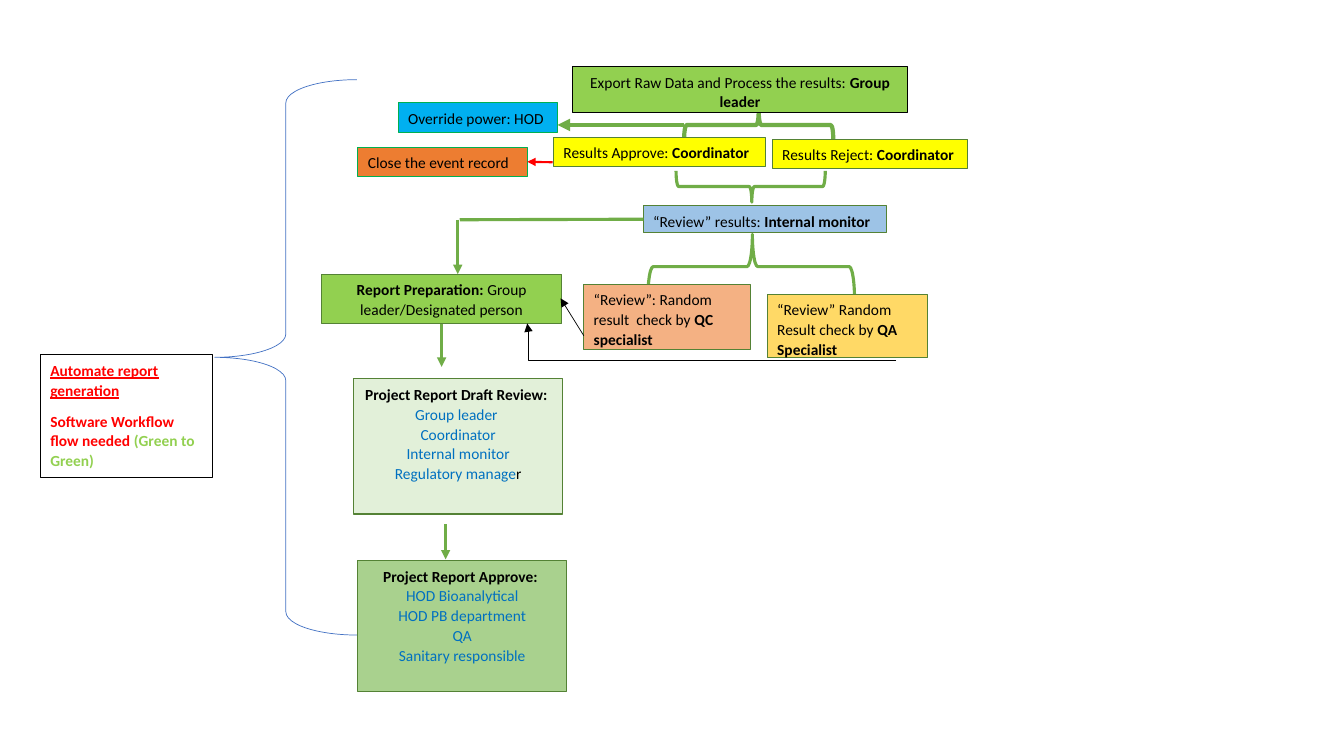
from lxml import etree
from pptx import Presentation
from pptx import util as u
from pptx.dml.color import RGBColor
from pptx.enum import shapes, text
from pptx.oxml import ns

BLACK = RGBColor(0x00, 0x00, 0x00)
WHITE = RGBColor(0xFF, 0xFF, 0xFF)
RED = RGBColor(0xFF, 0x00, 0x00)
YELLOW = RGBColor(0xFF, 0xFF, 0x00)
LIME = RGBColor(0x92, 0xD0, 0x50)
GREEN = RGBColor(0x70, 0xAD, 0x47)
DARK_GREEN = RGBColor(0x54, 0x82, 0x35)
TEAL_GREEN = RGBColor(0x00, 0xB0, 0x50)
MID_GREEN = RGBColor(0xA9, 0xD1, 0x8E)
PALE_GREEN = RGBColor(0xE2, 0xF0, 0xD9)
SKY = RGBColor(0x00, 0xB0, 0xF0)
PALE_BLUE = RGBColor(0x9D, 0xC3, 0xE6)
BLUE = RGBColor(0x44, 0x72, 0xC4)
TEXT_BLUE = RGBColor(0x00, 0x70, 0xC0)
ORANGE = RGBColor(0xED, 0x7D, 0x31)
PEACH = RGBColor(0xF4, 0xB1, 0x83)
GOLD = RGBColor(0xFF, 0xD9, 0x66)

LEFT, CENTER = text.PP_ALIGN.LEFT, text.PP_ALIGN.CENTER
TOP, LEFT_SIDE, BOTTOM, RIGHT_SIDE = range(4)


def grid(*cells):
    """Columns and rows of a grid with ten cells to the inch."""
    return [u.Inches(n / 10) for n in cells]


def run(words, bold=False, color=BLACK, underline=None):
    return words, bold, color, underline


def add_box(s, at, fill, paragraphs, line=DARK_GREEN, align=LEFT, after=8):
    sp = s.shapes.add_shape(shapes.MSO_SHAPE.RECTANGLE, *grid(*at))
    sp.shadow.inherit = False
    sp.fill.solid()
    sp.fill.fore_color.rgb = fill
    sp.line.color.rgb = line
    sp.line.width = u.Pt(0.75)
    tf = sp.text_frame
    tf.word_wrap = True
    tf.vertical_anchor = text.MSO_ANCHOR.TOP
    for i, runs in enumerate(paragraphs):
        p = tf.add_paragraph() if i else tf.paragraphs[0]
        p.alignment = align
        p.line_spacing = 1.07
        p.space_after = u.Pt(after)
        p.font.size = u.Pt(11)
        p.font.name = "Calibri"
        for words, bold, color, underline in runs:
            r = p.add_run()
            r.text = words
            r.font.size = u.Pt(11)
            r.font.name = "Calibri"
            r.font.bold = bold
            r.font.underline = underline
            r.font.color.rgb = color
    return sp


def add_stage(s, at, fill, heading, people):
    """Box with a bold heading over a centred list of people."""
    return add_box(s, at, fill, [[run(heading, True)], *people],
                   align=CENTER, after=0)


def add_brace(s, kind, at, color, width, curve=0.083, point=0.5, rotation=0):
    sp = s.shapes.add_shape(kind, *grid(*at))
    sp.shadow.inherit = False
    sp.fill.background()
    sp.line.color.rgb = color
    sp.line.width = u.Pt(width)
    sp.adjustments[0] = curve
    sp.adjustments[1] = point
    sp.rotation = rotation


def add_line(s, start, end, color, width, arrow=True, bend=None):
    kind = shapes.MSO_CONNECTOR.STRAIGHT if bend is None else shapes.MSO_CONNECTOR.ELBOW
    c = s.shapes.add_connector(kind, *grid(*start, *end))
    c.line.color.rgb = color
    c.line.width = u.Pt(width)
    props = c._element.spPr
    if arrow:
        etree.SubElement(c.line._get_or_add_ln(), ns.qn("a:tailEnd"), type="triangle")
    etree.SubElement(props, ns.qn("a:effectLst"))
    if bend is not None:
        guides = props.find(ns.qn("a:prstGeom")).find(ns.qn("a:avLst"))
        etree.SubElement(guides, ns.qn("a:gd"), name="adj1",
                         fmla=f"val {round(bend * 100000)}")
    return c


def main():
    prs = Presentation()
    prs.slide_width, prs.slide_height = u.Inches(13.33), u.Inches(7.5)
    s = prs.slides.add_slide(prs.slide_layouts[6])
    right_brace, left_brace = shapes.MSO_SHAPE.RIGHT_BRACE, shapes.MSO_SHAPE.LEFT_BRACE

    # Braces between the result steps
    add_brace(s, right_brace, (71.3, 16.2, 6.4, 20.5), GREEN, 2.25, point=0.506, rotation=270)
    add_brace(s, right_brace, (73.8, 5, 2.9, 14.8), GREEN, 3, rotation=270)
    add_brace(s, left_brace, (72.9, 11.1, 3.1, 14.8), GREEN, 2.25, point=0.508, rotation=270)

    # Results and their reviewers
    add_box(s, (56.8, 6.6, 33.2, 4.6), LIME,
            [[run("Export Raw Data and Process the results: "), run("Group leader", True)]],
            line=BLACK, align=CENTER)
    add_box(s, (54.9, 13.6, 21, 2.9), YELLOW,
            [[run("Results Approve: "), run("Coordinator", True)]])
    add_box(s, (76.6, 13.8, 19.4, 2.9), YELLOW,
            [[run("Results Reject: "), run("Coordinator", True)]])
    add_box(s, (39.5, 10.2, 15.8, 2.9), SKY, [[run("Override power: HOD")]], line=TEAL_GREEN)
    close = add_box(s, (35.5, 14.6, 16.8, 2.9), ORANGE, [[run("Close the event record")]],
                    line=TEAL_GREEN)
    review = add_box(s, (63.8, 20.4, 24.1, 2.7), PALE_BLUE,
                     [[run("“Review” results: "), run("Internal monitor", True)]])
    add_box(s, (57.9, 28.2, 16.5, 6.5), PEACH,
            [[run("“Review”: Random result  check by "), run("QC specialist", True)]])
    add_box(s, (76.1, 29.2, 15.9, 6.3), GOLD,
            [[run("“Review” Random Result check by "), run("QA Specialist", True)]])

    # Report stages
    report = add_box(s, (31.9, 27.2, 23.8, 4.9), LIME,
                     [[run("Report Preparation: ", True), run("Group leader/Designated person")]],
                     align=CENTER)
    drafters = [[run(name, color=TEXT_BLUE)]
                for name in ("Group leader ", "Coordinator", "Internal monitor",
                             "Regulatory manage")]
    drafters[-1].append(run("r"))
    add_stage(s, (35.1, 37.6, 20.7, 13.4), PALE_GREEN, "Project Report Draft Review: ", drafters)
    approvers = [[run(name, color=TEXT_BLUE)]
                 for name in ("HOD Bioanalytical", "HOD PB department", "QA",
                              "Sanitary responsible")]
    add_stage(s, (35.5, 55.6, 20.7, 13), MID_GREEN, "Project Report Approve: ", approvers)

    # Software note with its brace
    add_brace(s, left_brace, (21.3, 7.9, 14.1, 55.1), BLUE, 0.5, curve=0.164)
    add_box(s, (4, 35.2, 17.1, 12.2), WHITE,
            [[run("Automate report generation", True, RED, True)],
             [run("Software Workflow flow needed ", True, RED),
              run("(Green to Green)", True, LIME)]], line=BLACK)

    # Lines and arrows
    add_line(s, (67.8, 12.4), (55.3, 12.4), GREEN, 3)
    to_close = add_line(s, (54.8, 16.1), (52.3, 16.1), RED, 1.5)
    to_close.end_connect(close, RIGHT_SIDE)
    from_review = add_line(s, (63.8, 21.8), (45.6, 21.8), GREEN, 2.25, arrow=False)
    from_review.begin_connect(review, LEFT_SIDE)
    add_line(s, (45.4, 21.8), (45.4, 27.2), GREEN, 2.25)
    to_draft = add_line(s, (43.8, 32.1), (43.8, 36.4), GREEN, 2.25)
    to_draft.begin_connect(report, BOTTOM)
    add_line(s, (44.2, 52), (44.2, 55.5), GREEN, 2.25)
    add_line(s, (57.9, 33.3), (55.6, 29.6), BLACK, 0.5)
    add_line(s, (88.9, 35.8), (52.3, 32.1), BLACK, 0.5, bend=0.997)

    prs.save("out.pptx")


if __name__ == "__main__":
    main()
